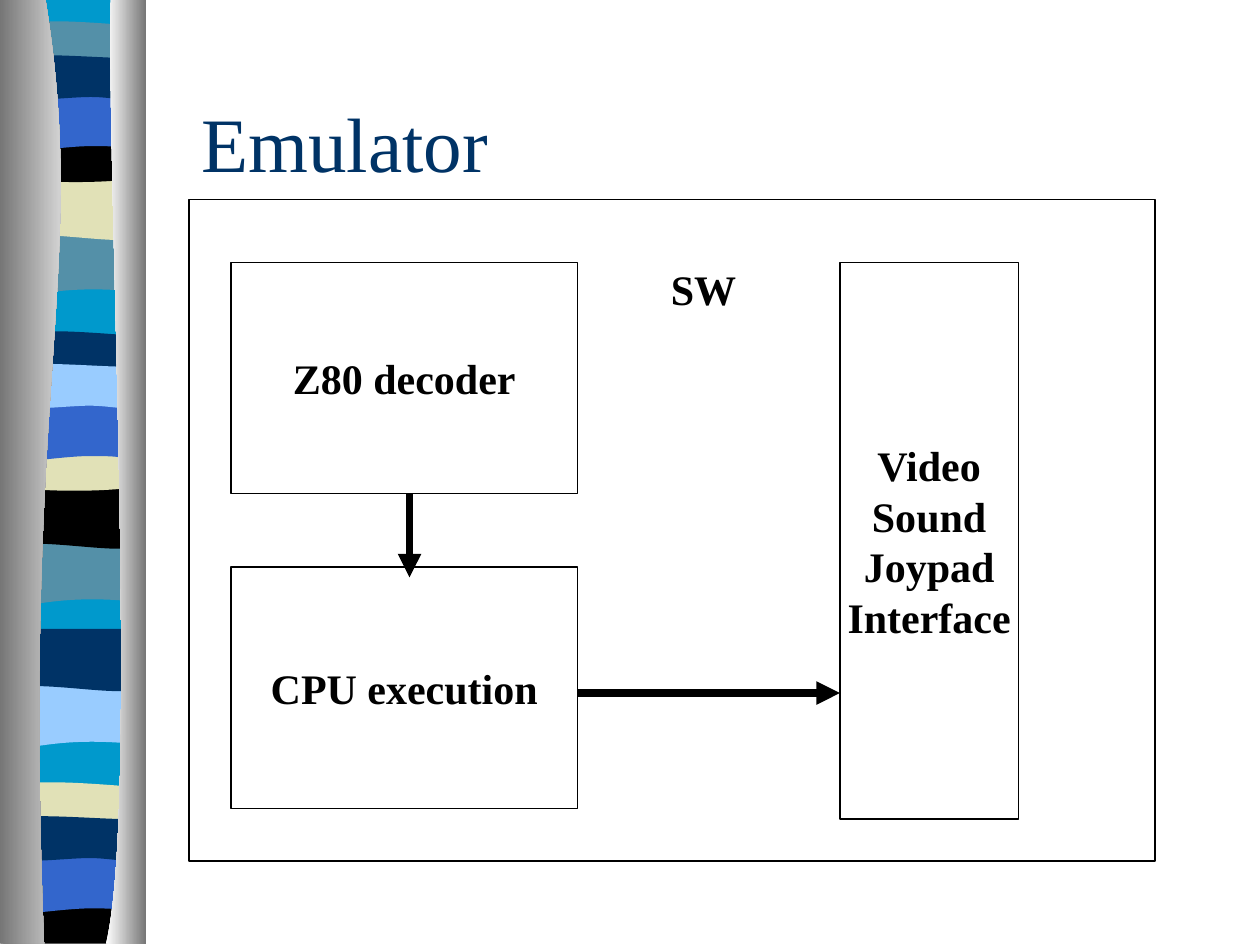
from lxml import etree
from pptx import Presentation
from pptx.dml.color import RGBColor
from pptx.enum.shapes import MSO_CONNECTOR, MSO_SHAPE
from pptx.enum.text import MSO_ANCHOR, PP_ALIGN
from pptx.oxml.ns import qn
from pptx.util import Inches, Pt

RECTANGLE = MSO_SHAPE.RECTANGLE
STRAIGHT = MSO_CONNECTOR.STRAIGHT
MIDDLE = MSO_ANCHOR.MIDDLE
LEFT, CENTER = PP_ALIGN.LEFT, PP_ALIGN.CENTER

FONT = "Times New Roman"
COLORS = {
    "black": "000000", "white": "FFFFFF", "navy": "003366", "blue": "3366CC",
    "cyan": "0099CC", "teal": "5490A8", "sand": "E1E1B7", "sky": "99CCFF",
    "gray": "767676",
}
GRID = 12
PAGE_TOP, PAGE_BOTTOM = -0.01, 7.49
WIDE = 1.08

# fmt: off
BACKDROP = [[(WIDE, 0)], [(WIDE, 7.48)], [(0, 7.48)], [(0, 0)]]
RISE = [[(WIDE, 0)], [(WIDE, 0.47)], [(0.33, 0.39), (0.18, 0.55), (0, 0.47)], [(0, 0)]]
FALL = [[(WIDE, 0)], [(WIDE, 0.47)], [(0.9, 0.55), (0.33, 0.41), (0, 0.47)], [(0, 0)]]
RIPPLE = [[(0.06, -0.05), (0.23, -0.04), (0.41, -0.04)],
          [(0.59, -0.04), (0.94, -0.01), (WIDE, 0)],
          [(WIDE, 0.24)], [(0.9, 0.28), (0.18, 0.28), (0, 0.24)], [(0, 0)]]
SAG = [[(0.66, 0.05), (0.85, 0), (WIDE, 0)], [(WIDE, 0.32)],
       [(0.9, 0.38), (0.18, 0.38), (0, 0.32)], [(0, 0)]]
BASE = [SAG[0], [(WIDE, 0.37)], [(0, 0.37)], [(0, 0)]]
ARCH = [[(WIDE, 0)], [(WIDE, 0.47)], [(0.91, 0.42), (0.84, 0.42), (0.66, 0.42)],
        [(0.48, 0.42), (0.16, 0.47), (0, 0.47)], [(0, 0)]]
CREST = [[(0.15, -0.05), (0.73, 0), (0.91, 0)], [(1.09, 0), (1.04, 0), (WIDE, 0)],
         [(WIDE, 0.31)], [(1.01, 0.36), (0.84, 0.31), (0.66, 0.31)],
         [(0.48, 0.31), (0.11, 0.36), (0, 0.31)], [(0, 0)]]
# fmt: on
STRIPES = [
    (0.06, [(BACKDROP, PAGE_TOP, "cyan"), (RISE, 1.85, "teal"), (FALL, 1.41, "sand"),
            (RIPPLE, 0.21, "teal"), (SAG, 1.08, "black"), (ARCH, 0.74, "blue"),
            (CREST, 0.46, "navy")]),
    (0.05, [(RISE, 4.31, "teal"), (FALL, 3.86, "black"), (RIPPLE, 2.67, "navy"),
            (SAG, 3.53, "sand"), (ARCH, 3.2, "blue"), (CREST, 2.91, "sky")]),
    (0.05, [(RISE, 5.44, "sky"), (FALL, 4.99, "navy"), (RIPPLE, 6.25, "sand"),
            (BASE, 7.12, "black"), (ARCH, 6.79, "blue"), (CREST, 6.5, "navy")]),
]
PILLARS = [
    (0.36, 0, [(0.71, 2.16), (0.17, 2.96), (0.35, PAGE_BOTTOM)], ("gray", "white")),
    (0.88, 1.16, [(0.84, 1.25), (1.11, 6.46), (0.84, PAGE_BOTTOM)], ("white", "gray")),
]


def rgb(color):
    return RGBColor.from_string(COLORS[color])


def on_grid(*values):
    return [Inches(value / GRID) for value in values]


def write_text(frame, text, size=24, color="black", bold=True, align=CENTER, wrap=False):
    frame.word_wrap = wrap
    frame.vertical_anchor = MIDDLE
    frame.text = text
    for paragraph in frame.paragraphs:
        paragraph.alignment = align
        paragraph.font.name = FONT
        paragraph.font.size = Pt(size)
        paragraph.font.bold = bold
        paragraph.font.color.rgb = rgb(color)


class SlideBuilder:
    def __init__(self, slide, outline=0.75, arrow_width=4.5):
        self.slide = slide
        self.outline = outline
        self.arrow_width = arrow_width

    def title(self, text, *place):
        title = self.slide.shapes.title
        title.left, title.top, title.width, title.height = on_grid(*place)
        write_text(title.text_frame, text, size=44, color="navy", bold=False,
                   align=LEFT, wrap=True)

    def region(self, left, top, segments, *colors):
        points = [(Inches(left + x), Inches(top + y))
                  for segment in segments for x, y in segment]
        builder = self.slide.shapes.build_freeform(Inches(left), Inches(top))
        builder.add_line_segments(points, close=True)
        region = builder.convert_to_shape()
        region.shadow.inherit = False
        region.line.fill.background()
        self.bend(region, segments)
        if len(colors) == 1:
            region.fill.solid()
            region.fill.fore_color.rgb = rgb(colors[0])
        else:
            region.fill.gradient()
            region.fill.gradient_angle = 0
            for stop, color in zip(region.fill.gradient_stops, colors):
                stop.color.rgb = rgb(color)

    def bend(self, region, segments):
        steps = iter(list(region._element.iter(qn("a:lnTo"))))
        for segment in segments:
            first, *others = [next(steps) for _ in segment]
            if others:
                first.tag = qn("a:cubicBezTo")
                for other in others:
                    first.append(other[0])
                    other.getparent().remove(other)

    def box(self, *place, text="", fill="white", line="black"):
        box = self.slide.shapes.add_shape(RECTANGLE, *on_grid(*place))
        box.shadow.inherit = False
        if fill:
            box.fill.solid()
            box.fill.fore_color.rgb = rgb(fill)
        else:
            box.fill.background()
        box.line.color.rgb = rgb(line)
        box.line.width = Pt(self.outline)
        if text:
            write_text(box.text_frame, text)

    def arrow(self, start, end):
        arrow = self.slide.shapes.add_connector(STRAIGHT, *on_grid(*start, *end))
        arrow.line.color.rgb = rgb("black")
        arrow.line.width = Pt(self.arrow_width)
        etree.SubElement(arrow.line._get_or_add_ln(), qn("a:tailEnd"), type="triangle")
        etree.SubElement(arrow._element.spPr, qn("a:effectLst"))


def draw_sidebar(builder):
    for left, stripes in STRIPES:
        for outline, top, color in stripes:
            builder.region(left, top, outline, color)
    for inner, outer, edge, colors in PILLARS:
        curve = [(x - inner, y - PAGE_TOP) for x, y in edge]
        side = outer - inner
        height = PAGE_BOTTOM - PAGE_TOP
        builder.region(inner, PAGE_TOP,
                       [curve, [(side, height)], [(side, 0)], [(0, 0)]], *colors)


def main():
    presentation = Presentation()
    presentation.slide_width, presentation.slide_height = Inches(10), Inches(7.5)
    builder = SlideBuilder(presentation.slides.add_slide(presentation.slide_layouts[5]))
    draw_sidebar(builder)
    builder.title("Emulator", 18, 6, 102, 15)
    builder.box(22, 25, 33, 22, text="Z80 decoder")
    builder.box(22, 54, 33, 23, text="CPU execution")
    builder.box(80, 25, 17, 53, text="Video\nSound\nJoypad\nInterface")
    builder.arrow((55, 66), (80, 66))
    builder.arrow((39, 47), (39, 55))
    builder.box(18, 19, 92, 63, fill=None)
    builder.box(58, 23, 18, 9, text="SW", fill=None, line="white")
    presentation.save("out.pptx")


if __name__ == "__main__":
    main()
